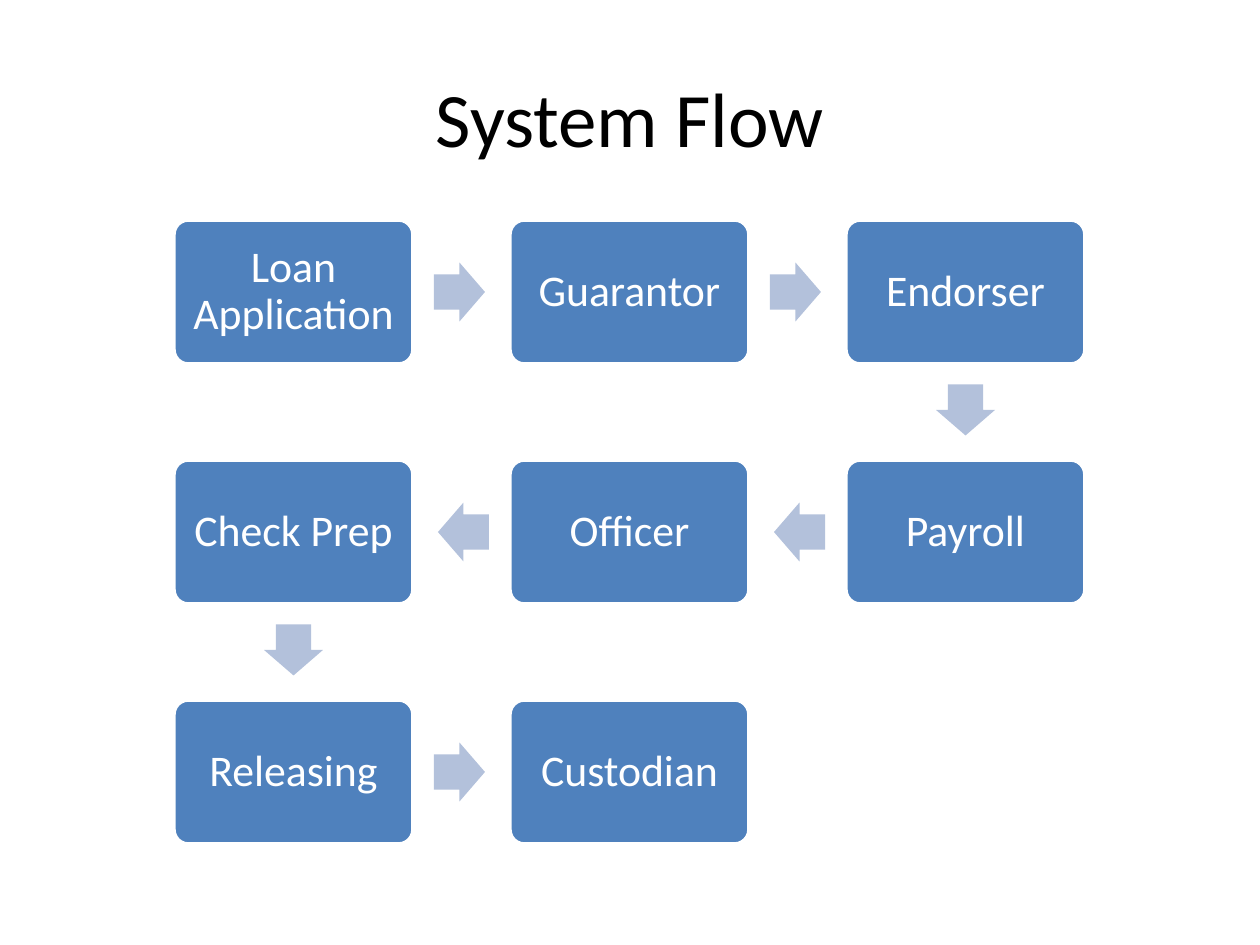
from itertools import pairwise

from pptx import Presentation
from pptx.dml.color import RGBColor
from pptx.enum.shapes import MSO_SHAPE
from pptx.enum.text import MSO_ANCHOR, PP_ALIGN
from pptx.util import Emu, Pt

PIXEL = 914400 // 126
FONT = "Calibri"
BLACK = RGBColor(0x00, 0x00, 0x00)
WHITE = RGBColor(0xFF, 0xFF, 0xFF)
STEP_BLUE = RGBColor(0x4F, 0x81, 0xBD)
ARROW_BLUE = RGBColor(0xB3, 0xC1, 0xDB)

STEPS = ["Loan Application", "Guarantor", "Endorser", "Payroll",
         "Officer", "Check Prep", "Releasing", "Custodian"]
COLUMNS = 3
STEP_WIDTH, STEP_HEIGHT = 239, 144
PITCH_X, PITCH_Y = 336, 240
ARROW_WIDTH, ARROW_HEIGHT = 51, 59
ARROW_PULL = 2  # arrows sit slightly nearer the step they leave
ROTATIONS = {(1, 0): 0, (0, 1): 90, (-1, 0): 180}


def px(length):
    """Turn pixels into EMU."""
    return Emu(round(length * PIXEL))


def write(frame, text, size, color):
    """Write one centred run, anchored in the middle of a text frame."""
    frame.word_wrap = True
    frame.vertical_anchor = MSO_ANCHOR.MIDDLE
    para = frame.paragraphs[0]
    para.alignment = PP_ALIGN.CENTER
    span = para.add_run()
    span.text = text
    span.font.name = FONT
    span.font.size = Pt(size)
    span.font.color.rgb = color
    return para


def add_title(page, text, left, top, width, height):
    """Fill and place the title placeholder."""
    title = page.shapes.title
    title.left, title.top = px(left), px(top)
    title.width, title.height = px(width), px(height)
    write(title.text_frame, text, 44, BLACK)


def add_centred(page, kind, center, width, height, color):
    """Add a filled shape around a centre point."""
    x, y = center
    shape = page.shapes.add_shape(kind, px(x - width / 2), px(y - height / 2),
                                  px(width), px(height))
    shape.shadow.inherit = False
    shape.fill.solid()
    shape.fill.fore_color.rgb = color
    return shape


def add_step(page, text, center):
    """Add one rounded step box with its label."""
    box = add_centred(page, MSO_SHAPE.ROUNDED_RECTANGLE, center,
                      STEP_WIDTH, STEP_HEIGHT, STEP_BLUE)
    box.adjustments[0] = 0.1
    box.line.color.rgb = WHITE
    box.line.width = Pt(2)
    frame = box.text_frame
    frame.margin_left = frame.margin_right = px(12)
    frame.margin_top = frame.margin_bottom = px(12)
    write(frame, text, 25, WHITE).line_spacing = 0.9


def add_arrow(page, start, end, direction):
    """Add the block arrow between two step centres."""
    center = [(a + b) / 2 - ARROW_PULL * way
              for a, b, way in zip(start, end, direction)]
    arrow = add_centred(page, MSO_SHAPE.RIGHT_ARROW, center,
                        ARROW_WIDTH, ARROW_HEIGHT, ARROW_BLUE)
    arrow.adjustments[0] = 0.6
    arrow.adjustments[1] = 0.5
    arrow.rotation = ROTATIONS[direction]
    arrow.line.fill.background()


def add_flow(page, steps, left, top):
    """Lay the steps out in a snake of rows, joined by arrows."""
    cells = []
    for index in range(len(steps)):
        row, column = divmod(index, COLUMNS)
        cells.append((COLUMNS - 1 - column if row % 2 else column, row))
    centers = [(left + STEP_WIDTH / 2 + column * PITCH_X,
                top + STEP_HEIGHT / 2 + row * PITCH_Y)
               for column, row in cells]
    for text, center in zip(steps, centers):
        add_step(page, text, center)
    for (cell, start), (following, end) in pairwise(zip(cells, centers)):
        direction = (following[0] - cell[0], following[1] - cell[1])
        add_arrow(page, start, end, direction)


def build():
    """Build and save the deck."""
    deck = Presentation()
    deck.slide_width, deck.slide_height = px(1260), px(945)
    page = deck.slides.add_slide(deck.slide_layouts[5])
    page.background.fill.solid()
    page.background.fill.fore_color.rgb = WHITE
    add_title(page, "System Flow", 63, 38, 1134, 158)
    add_flow(page, STEPS, 174, 220)
    deck.save("out.pptx")


build()
